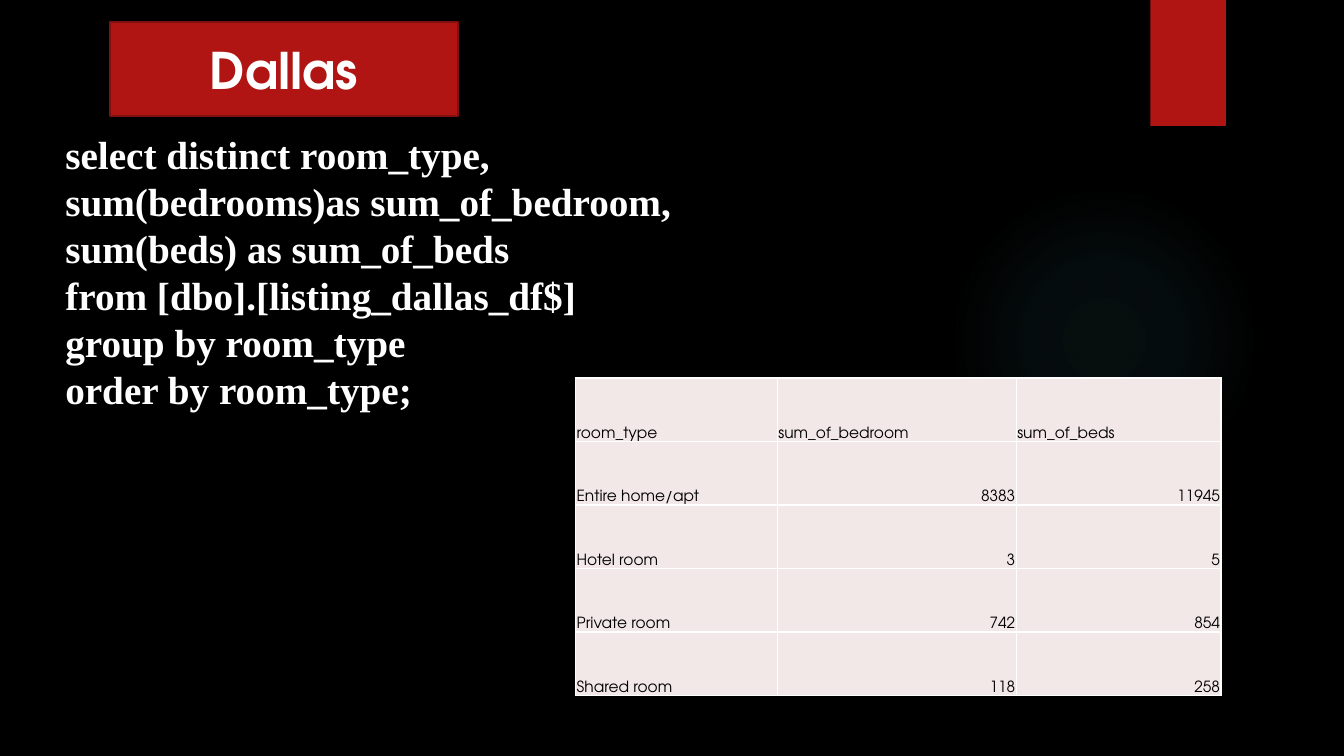
from lxml import etree
from pptx import Presentation
from pptx.dml.color import RGBColor
from pptx.enum.shapes import MSO_SHAPE as Preset
from pptx.enum.text import MSO_ANCHOR as Anchor, PP_ALIGN as Align
from pptx.oxml import parse_xml
from pptx.oxml.ns import nsdecls, qn
from pptx.util import Inches, Pt

COLORS = {"back": "000000", "red": "B01513", "edge": "82100E", "glow": "50B9C1",
          "cell": "F2E8E7", "white": "FFFFFF", "black": "000000"}
SANS, SERIF = "TeX Gyre Adventor", "Times New Roman"


def add_span(para, text, font, size, color, bold=False):
    span = para.add_run()
    span.text = text
    span.font.name, span.font.size, span.font.bold = font, Pt(size), bold
    span.font.color.rgb = RGBColor.from_string(COLORS[color])


def add_block(preset, left, top, width, height, fill=None):
    block = page.shapes.add_shape(preset, Inches(left), Inches(top), Inches(width), Inches(height))
    block.shadow.inherit = False
    block.line.fill.background()
    if fill:
        block.fill.solid()
        block.fill.fore_color.rgb = RGBColor.from_string(COLORS[fill])
    return block


deck = Presentation()
deck.slide_width, deck.slide_height = Inches(13.33), Inches(7.5)
page = deck.slides.add_slide(deck.slide_layouts[6])
page.background.fill.solid()
page.background.fill.fore_color.rgb = RGBColor.from_string(COLORS["back"])

# Soft round glow, fading outwards
glow = add_block(Preset.OVAL, 9.41, 1.83, 3.08, 3.08)
stops = "".join(
    f'<a:gs pos="{position * 1000}"><a:srgbClr val="{COLORS["glow"]}">'
    f'<a:alpha val="{alpha * 1000}"/></a:srgbClr></a:gs>'
    for position, alpha in ((0, 7), (36, 6), (69, 0)))
gradient = parse_xml(
    f'<a:gradFill {nsdecls("a")} rotWithShape="1"><a:gsLst>{stops}</a:gsLst><a:path path="circle">'
    '<a:fillToRect l="50000" t="50000" r="50000" b="50000"/></a:path></a:gradFill>')
glow.element.spPr.find(qn("a:prstGeom")).addnext(gradient)

# Red tab at the top edge
add_block(Preset.RECTANGLE, 11.41, 0, 0.75, 1.25, "red")

# Query text
query = ["select distinct room_type,", "sum(bedrooms)as sum_of_bedroom,",
         "sum(beds) as sum_of_beds", "from [dbo].[listing_dallas_df$]",
         "group by room_type", "order by room_type;"]
box = page.shapes.add_textbox(Inches(0.55), Inches(1.29), Inches(10.36), Inches(2.8))
frame = box.text_frame
frame.word_wrap = True
frame.margin_top = frame.margin_bottom = 0
para = frame.paragraphs[0]
para.line_spacing = Pt(33.6)
for index, line in enumerate(query):
    if index:
        para.add_line_break()
    add_span(para, line, SERIF, 28, "white", True)

# City name
city = add_block(Preset.RECTANGLE, 1.09, 0.22, 3.45, 0.93, "red")
city.line.color.rgb = RGBColor.from_string(COLORS["edge"])
city.line.width = Pt(1.5)
city.text_frame.vertical_anchor = Anchor.MIDDLE
para = city.text_frame.paragraphs[0]
para.alignment = Align.CENTER
add_span(para, "Dallas", SANS, 36, "white", True)

# Result table
rows = [("room_type", "sum_of_bedroom", "sum_of_beds"),
        ("Entire home/apt", 8383, 11945),
        ("Hotel room", 3, 5),
        ("Private room", 742, 854),
        ("Shared room", 118, 258)]
widths = (2, 2.37, 2.03)
row_height = 0.63
table = page.shapes.add_table(len(rows), len(widths), Inches(5.71), Inches(3.75),
                              Inches(sum(widths)), Inches(row_height * len(rows))).table
table.first_row = table.horz_banding = False
for column, width in zip(table.columns, widths):
    column.width = Inches(width)
for row_index, values in enumerate(rows):
    table.rows[row_index].height = Inches(row_height)
    for column_index, value in enumerate(values):
        cell = table.cell(row_index, column_index)
        cell.vertical_anchor = Anchor.BOTTOM
        cell.margin_left = cell.margin_right = cell.margin_top = Inches(0.01)
        cell.margin_bottom = 0
        properties = cell._tc.get_or_add_tcPr()
        for side in ("a:lnL", "a:lnR", "a:lnT", "a:lnB"):
            border = etree.SubElement(properties, qn(side), w=str(Pt(1)))
            paint = etree.SubElement(border, qn("a:solidFill"))
            etree.SubElement(paint, qn("a:srgbClr"), val=COLORS["white"])
        cell.fill.solid()
        cell.fill.fore_color.rgb = RGBColor.from_string(COLORS["cell"])
        para = cell.text_frame.paragraphs[0]
        para.alignment = Align.RIGHT if isinstance(value, int) else Align.LEFT
        add_span(para, str(value), SANS, 11, "black")

deck.save("out.pptx")
